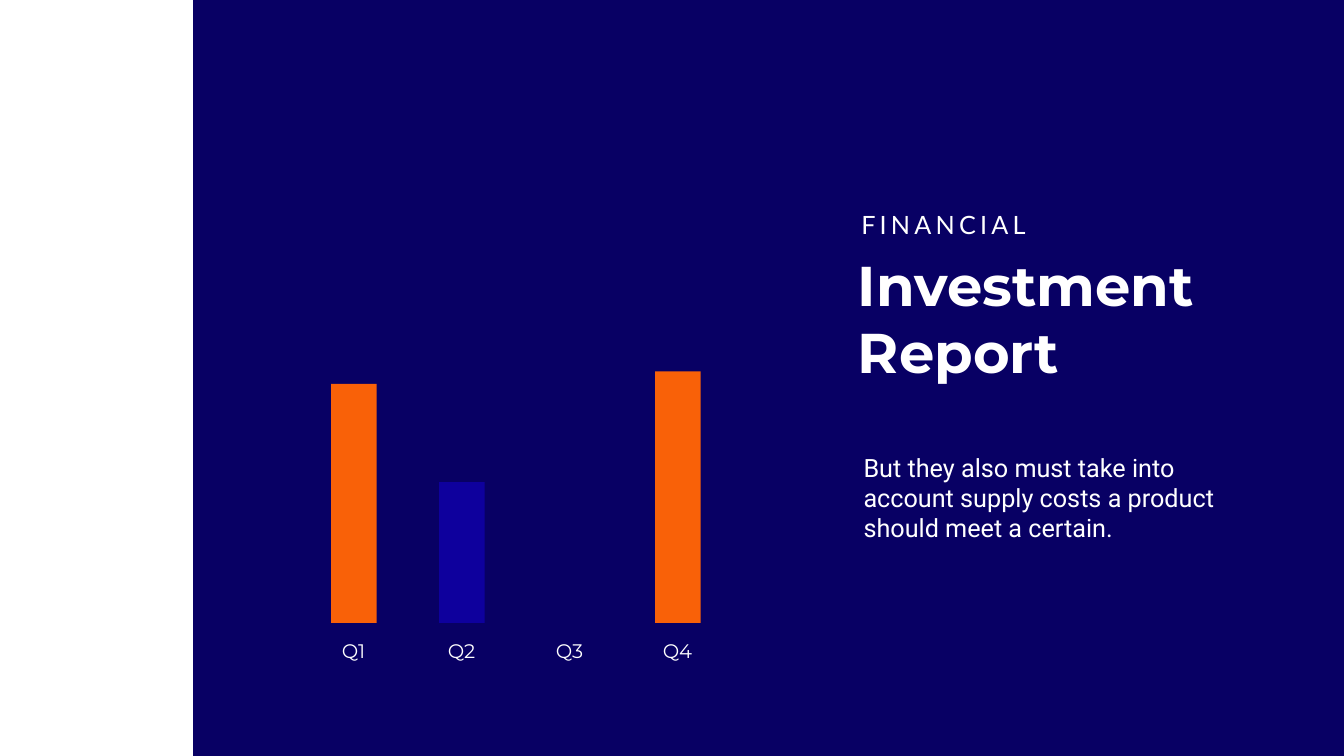
from pptx import Presentation
from pptx.dml.color import RGBColor as Rgb
from pptx.enum.shapes import MSO_SHAPE as Kind
from pptx.enum.text import MSO_ANCHOR as Anchor, MSO_AUTO_SIZE as Auto, PP_ALIGN as Align
from pptx.oxml.ns import qn
from pptx.util import Cm, Pt

HUES = {"white": "FFFFFF", "navy": "080064", "blue": "0E009D", "orange": "F96108"}
WIDE, HIGH, EDGE = 67.72, 38.1, 9.73


def write(shape, text, font, size, bold=False, align=Align.LEFT, anchor=Anchor.TOP,
          pad=(0.25, 0.13, 0.25, 0.13), lead=None, track=None):
    frame = shape.text_frame
    frame.text = text
    frame.word_wrap = True
    frame.auto_size = Auto.SHAPE_TO_FIT_TEXT
    frame.vertical_anchor = anchor
    (frame.margin_left, frame.margin_top,
     frame.margin_right, frame.margin_bottom) = map(Cm, pad)
    para = frame.paragraphs[0]
    para.alignment = align
    if lead:
        para.line_spacing = lead
    run = para.runs[0]
    run.font.name, run.font.size, run.font.bold = font, Pt(size), bold
    run.font.color.rgb = Rgb.from_string(HUES["white"])
    if track:
        run.font._element.set("spc", str(track * 100))


class Deck:
    head, lead, plain = "Montserrat", "Lato", "Roboto"

    def __init__(self):
        self.show = Presentation()
        self.show.slide_width, self.show.slide_height = Cm(WIDE), Cm(HIGH)
        self.slide = self.show.slides.add_slide(self.show.slide_layouts[1])
        self.shapes = self.slide.shapes

    def place(self, shape, box):
        shape.left, shape.top, shape.width, shape.height = map(Cm, box)

    def rect(self, box, hue):
        shape = self.shapes.add_shape(Kind.RECTANGLE, *map(Cm, box))
        shape.shadow.inherit = False
        shape.fill.solid()
        shape.fill.fore_color.rgb = Rgb.from_string(HUES[hue])
        shape.line.fill.background()
        return shape

    def panel(self, box, hue):
        shape = self.rect(box, hue)
        self.shapes._spTree.insert(2, shape._element)

    def title(self, text, box):
        shape = self.shapes.title
        self.place(shape, box)
        write(shape, text, self.head, 80, bold=True)

    def body(self, text, box):
        shape = self.slide.placeholders[1]
        self.place(shape, box)
        write(shape, text, self.plain, 36, pad=(0.61, 0.3, 0.61, 0.3), lead=Pt(43))
        props = shape.text_frame.paragraphs[0]._p.get_or_add_pPr()
        props.set("marL", "0")
        props.set("indent", "0")
        props.append(props.makeelement(qn("a:buNone"), {}))

    def label(self, text, box, font, size, **style):
        shape = self.shapes.add_textbox(*map(Cm, box))
        write(shape, text, font, size, **style)

    def bars(self, data, left, base, step, width):
        for i, (name, height, hue) in enumerate(data):
            x = left + i * step
            if height:
                self.rect((x, base - height, width, height), hue)
            self.label(name, (x - 0.74, base + 0.51, 3.48, 1.42), self.head, 28,
                       align=Align.CENTER, anchor=Anchor.MIDDLE,
                       pad=(0.25, 0, 0, 0), lead=1.3)


def main():
    deck = Deck()
    deck.panel((EDGE, 0, WIDE - EDGE, HIGH), "navy")
    deck.title("Investment Report", (42.98, 12.5, 20.55, 7.09))
    deck.label("FINANCIAL", (43.15, 10.41, 9.35, 1.8), deck.lead, 36, track=6)
    deck.body("But they also must take into account supply costs a product "
              "should meet a certain.", (42.9, 22.48, 20.65, 5.21))
    quarters = [("Q1", 12.04, "orange"), ("Q2", 7.09, "blue"),
                ("Q3", 0, "navy"), ("Q4", 12.67, "orange")]
    deck.bars(quarters, left=16.69, base=31.39, step=5.44, width=2.29)
    deck.show.save("out.pptx")


if __name__ == "__main__":
    main()
